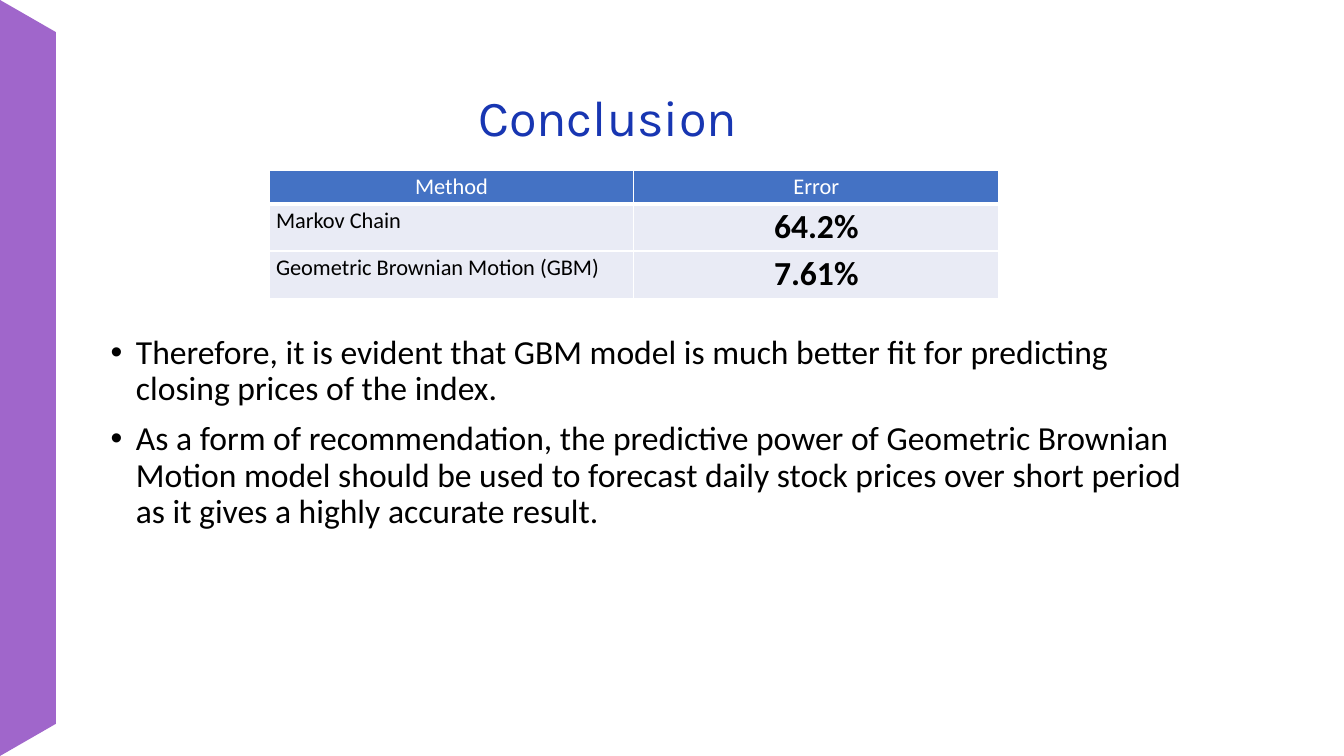
import dataclasses

import lxml.etree
import pptx
import pptx.dml.color
import pptx.enum.text
import pptx.oxml.ns
import pptx.util

Pt = pptx.util.Pt
Align = pptx.enum.text.PP_ALIGN
Anchor = pptx.enum.text.MSO_ANCHOR

COLORS = {
    "title": "1836B2",
    "text": "000000",
    "white": "FFFFFF",
    "band": "A066CB",
    "header": "4472C4",
    "row": "E9EBF5",
}
SLIDE_WIDTH, SLIDE_HEIGHT = 960, 540
BAND_WIDTH, BAND_SLANT = 40.5, 23
COLUMN_WIDTH = 260.6


@dataclasses.dataclass(frozen=True)
class TextStyle:
    size: float
    color: str
    font: str = "Calibri"
    bold: bool = False


@dataclasses.dataclass(frozen=True)
class TableRow:
    texts: tuple[str, str]
    styles: tuple[TextStyle, TextStyle]
    alignments: tuple[Align, Align]
    height: float
    fill: str
    bottom_line: float = 1


TITLE = TextStyle(36, "title", "Karla")
BODY = TextStyle(24, "text")
HEADER = TextStyle(16, "white")
METHOD = TextStyle(16, "text")
ERROR = TextStyle(24, "text", bold=True)


def method_row(method: str, error: str) -> TableRow:
    return TableRow((method, error), (METHOD, ERROR), (Align.LEFT, Align.CENTER), 33.7, "row")


ROWS = [
    TableRow(("Method", "Error"), (HEADER, HEADER), (Align.CENTER, Align.CENTER), 23.9, "header", 3),
    method_row("Markov Chain", "64.2%"),
    method_row("Geometric Brownian Motion (GBM)", "7.61%"),
]
CONCLUSIONS = [
    "Therefore, it is evident that GBM model is much better fit for predicting "
    "closing prices of the index.",
    "As a form of recommendation, the predictive power of Geometric Brownian Motion "
    "model should be used to forecast daily stock prices over short period as it "
    "gives a highly accurate result.",
]


def rgb(name: str) -> pptx.dml.color.RGBColor:
    return pptx.dml.color.RGBColor.from_string(COLORS[name])


def add_run(paragraph, text: str, style: TextStyle) -> None:
    run = paragraph.add_run()
    run.text = text
    run.font.name = style.font
    run.font.size = Pt(style.size)
    run.font.bold = style.bold
    run.font.color.rgb = rgb(style.color)


def add_element(parent, tag: str, **attributes: str):
    return lxml.etree.SubElement(parent, pptx.oxml.ns.qn(tag), **attributes)


def add_title(slide, text: str) -> None:
    title = slide.shapes.title
    title.left, title.top, title.width, title.height = Pt(20), Pt(34), Pt(828), Pt(104.4)
    frame = title.text_frame
    frame.auto_size = pptx.enum.text.MSO_AUTO_SIZE.NONE
    frame.vertical_anchor = Anchor.MIDDLE
    paragraph = frame.paragraphs[0]
    paragraph.alignment = Align.CENTER
    paragraph.line_spacing = 0.9
    add_run(paragraph, text, TITLE)


def add_bullets(slide, texts: list[str]) -> None:
    box = slide.shapes.add_textbox(Pt(72), Pt(236), Pt(794), Pt(287))
    frame = box.text_frame
    frame.word_wrap = True
    for index, text in enumerate(texts):
        paragraph = frame.add_paragraph() if index else frame.paragraphs[0]
        paragraph.line_spacing = 0.9
        paragraph.space_before = Pt(10)
        properties = paragraph._p.get_or_add_pPr()
        properties.set("marL", str(Pt(18)))
        properties.set("indent", str(-Pt(18)))
        add_element(properties, "a:buFont", typeface="Arial")
        add_element(properties, "a:buChar", char="•")
        add_run(paragraph, text, BODY)


def add_side_band(slide) -> None:
    builder = slide.shapes.build_freeform(0, 0, scale=pptx.util.Length(Pt(1)))
    builder.add_line_segments([
        (BAND_WIDTH, BAND_SLANT),
        (BAND_WIDTH, SLIDE_HEIGHT - BAND_SLANT),
        (0, SLIDE_HEIGHT),
    ])
    band = builder.convert_to_shape()
    band.shadow.inherit = False
    band.fill.solid()
    band.fill.fore_color.rgb = rgb("band")
    band.line.fill.background()


def set_borders(cell, bottom_line: float) -> None:
    properties = cell._tc.get_or_add_tcPr()
    for side, width in {"L": 1, "R": 1, "T": 1, "B": bottom_line}.items():
        line = add_element(properties, f"a:ln{side}", w=str(Pt(width)))
        fill = add_element(line, "a:solidFill")
        add_element(fill, "a:srgbClr", val=COLORS["white"])


def add_error_table(slide, rows: list[TableRow]) -> None:
    frame = slide.shapes.add_table(
        len(rows), 2, Pt(192.2), Pt(121.7),
        Pt(2 * COLUMN_WIDTH), Pt(sum(row.height for row in rows)),
    )
    table = frame.table
    table.horz_banding = False
    for column in table.columns:
        column.width = Pt(COLUMN_WIDTH)
    for row_index, row in enumerate(rows):
        table.rows[row_index].height = Pt(row.height)
        contents = zip(row.texts, row.styles, row.alignments)
        for column_index, (text, style, alignment) in enumerate(contents):
            cell = table.cell(row_index, column_index)
            cell.margin_left = cell.margin_right = Pt(5)
            cell.margin_top = cell.margin_bottom = Pt(2.2)
            cell.vertical_anchor = Anchor.TOP
            set_borders(cell, row.bottom_line)
            cell.fill.solid()
            cell.fill.fore_color.rgb = rgb(row.fill)
            paragraph = cell.text_frame.paragraphs[0]
            paragraph.alignment = alignment
            add_run(paragraph, text, style)


def main() -> None:
    presentation = pptx.Presentation()
    presentation.slide_width = Pt(SLIDE_WIDTH)
    presentation.slide_height = Pt(SLIDE_HEIGHT)
    slide = presentation.slides.add_slide(presentation.slide_layouts[5])
    slide.background.fill.solid()
    slide.background.fill.fore_color.rgb = rgb("white")

    # Heading and conclusions
    add_title(slide, "Conclusion")
    add_bullets(slide, CONCLUSIONS)

    # Purple band along the left edge
    add_side_band(slide)

    # Comparison of the two methods
    add_error_table(slide, ROWS)

    presentation.save("out.pptx")


if __name__ == "__main__":
    main()
